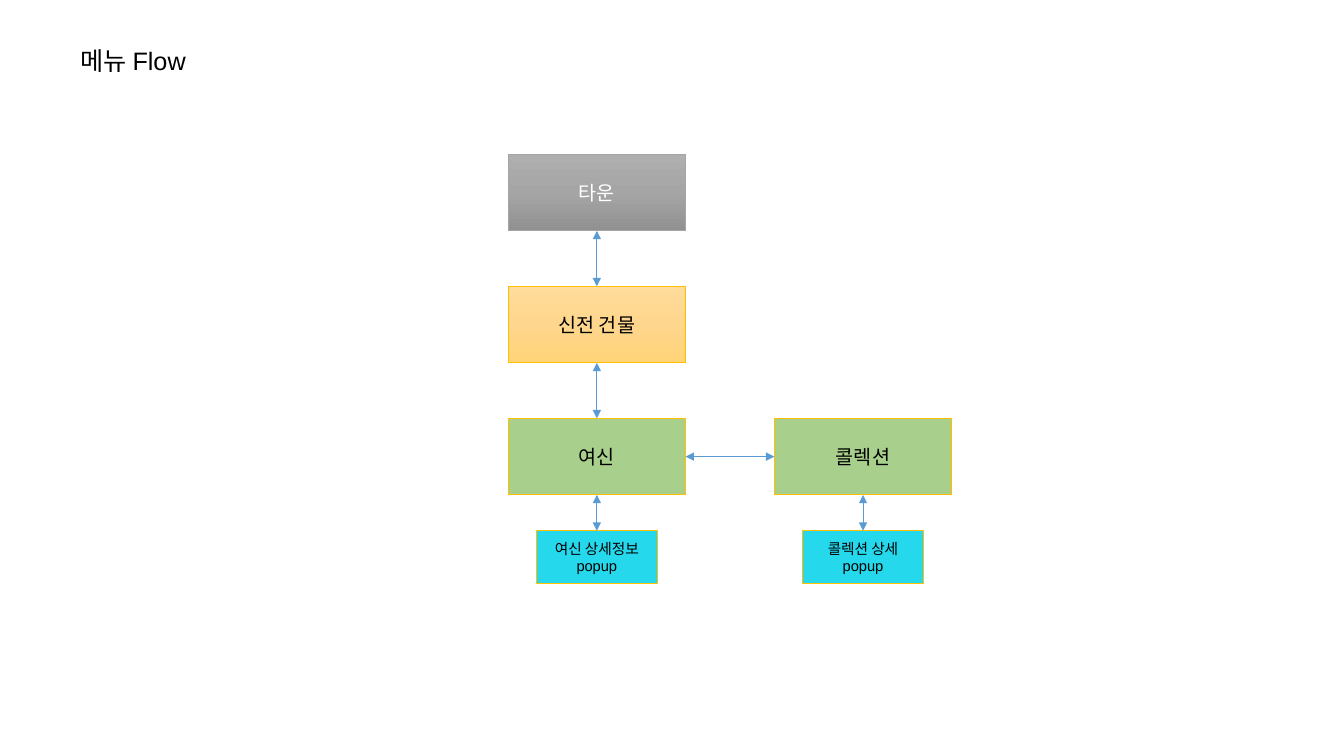
import copy

import pptx
import pptx.dml.color
import pptx.enum.dml
import pptx.enum.shapes
import pptx.enum.text
import pptx.oxml
import pptx.oxml.ns
import pptx.util

INCH = pptx.util.Inches
FONT = "Arial"
HUES = {
    "black": "000000", "white": "FFFFFF", "gray": "A5A5A5",
    "gold": "FFC000", "green": "A8D08C", "cyan": "25D8EB", "blue": "5B9BD5",
    "steel": ("AFAFAF", "A5A5A5", "919191"),
    "sand": ("FFDC9B", "FFD68D", "FFD478"),
}
# Centre of the first box, then the step between columns and rows
LEFT, TOP = 5.92, 1.91
COL, ROW = 2.64, 1.31
MENU, POPUP = (1.76, 0.76, 14), (1.2, 0.52, 10.5)
UP, WEST, DOWN, EAST = range(4)


def rgb(code):
    return pptx.dml.color.RGBColor.from_string(code)


def style(frame, size, hue, align):
    for para in frame.paragraphs:
        para.alignment = align
        for run in para.runs:
            run.font.name = FONT
            run.font.size = pptx.util.Pt(size)
            run.font.color.rgb = rgb(HUES[hue])


def shade(shape, codes):
    """Fill with a vertical gradient of three evenly spaced stops."""
    shape.fill.gradient()
    shape.fill.gradient_angle = 270
    stops = shape.fill._fill._gradFill.gsLst
    stops.append(copy.deepcopy(stops[-1]))
    for index, stop in enumerate(shape.fill.gradient_stops):
        stop.color.rgb = rgb(codes[index])
        stop.position = index / 2


def title(slide, text):
    box = slide.shapes.add_textbox(INCH(0.7), INCH(0.4), INCH(1.32), INCH(0.4))
    box.text_frame.text = text
    box.text_frame.word_wrap = False
    style(box.text_frame, 18, "black", pptx.enum.text.PP_ALIGN.LEFT)


def node(slide, text, col, row, kind, fill, edge="gold", ink="black"):
    """Draw a box centred on a grid point."""
    wide, high, size = kind
    shape = slide.shapes.add_shape(
        pptx.enum.shapes.MSO_SHAPE.RECTANGLE,
        INCH(LEFT + col * COL - wide / 2), INCH(TOP + row * ROW - high / 2),
        INCH(wide), INCH(high))
    shape.shadow.inherit = False
    if isinstance(HUES[fill], tuple):
        shade(shape, HUES[fill])
    else:
        shape.fill.solid()
        shape.fill.fore_color.rgb = rgb(HUES[fill])
    shape.line.color.rgb = rgb(HUES[edge])
    shape.line.width = pptx.util.Pt(0.75)
    frame = shape.text_frame
    frame.text = text
    frame.word_wrap = True
    frame.vertical_anchor = pptx.enum.text.MSO_ANCHOR.MIDDLE
    style(frame, size, ink, pptx.enum.text.PP_ALIGN.CENTER)
    return shape


def link(slide, start, end, exit=DOWN, entry=UP):
    """Join two boxes with a line that has an arrowhead at each end."""
    line = slide.shapes.add_connector(
        pptx.enum.shapes.MSO_CONNECTOR.STRAIGHT, 0, 0, 0, 0)
    line.begin_connect(start, exit)
    line.end_connect(end, entry)
    line.line.color.rgb = rgb(HUES["blue"])
    line.line.width = pptx.util.Pt(0.75)
    stroke = line.line._get_or_add_ln()
    for tag in ("a:headEnd", "a:tailEnd"):
        tip = pptx.oxml.parse_xml(
            f'<{tag} {pptx.oxml.ns.nsdecls("a")} type="triangle"/>')
        stroke.append(tip)
    line._element.spPr.append(pptx.oxml.parse_xml(
        f'<a:effectLst {pptx.oxml.ns.nsdecls("a")}/>'))


def main():
    deck = pptx.Presentation()
    deck.slide_width, deck.slide_height = INCH(13.33), INCH(7.5)
    slide = deck.slides.add_slide(deck.slide_layouts[6])

    title(slide, "메뉴 Flow")
    town = node(slide, "타운", 0, 0, MENU, "steel", "gray", "white")
    temple = node(slide, "신전 건물", 0, 1, MENU, "sand")
    goddess = node(slide, "여신", 0, 2, MENU, "green")
    album = node(slide, "콜렉션", 1, 2, MENU, "green")
    detail = node(slide, "여신 상세정보popup", 0, 2.76, POPUP, "cyan")
    item = node(slide, "콜렉션 상세\npopup", 1, 2.76, POPUP, "cyan")

    for start, end in ((town, temple), (temple, goddess),
                       (goddess, detail), (album, item)):
        link(slide, start, end)
    link(slide, goddess, album, EAST, WEST)

    deck.save("out.pptx")


if __name__ == "__main__":
    main()
